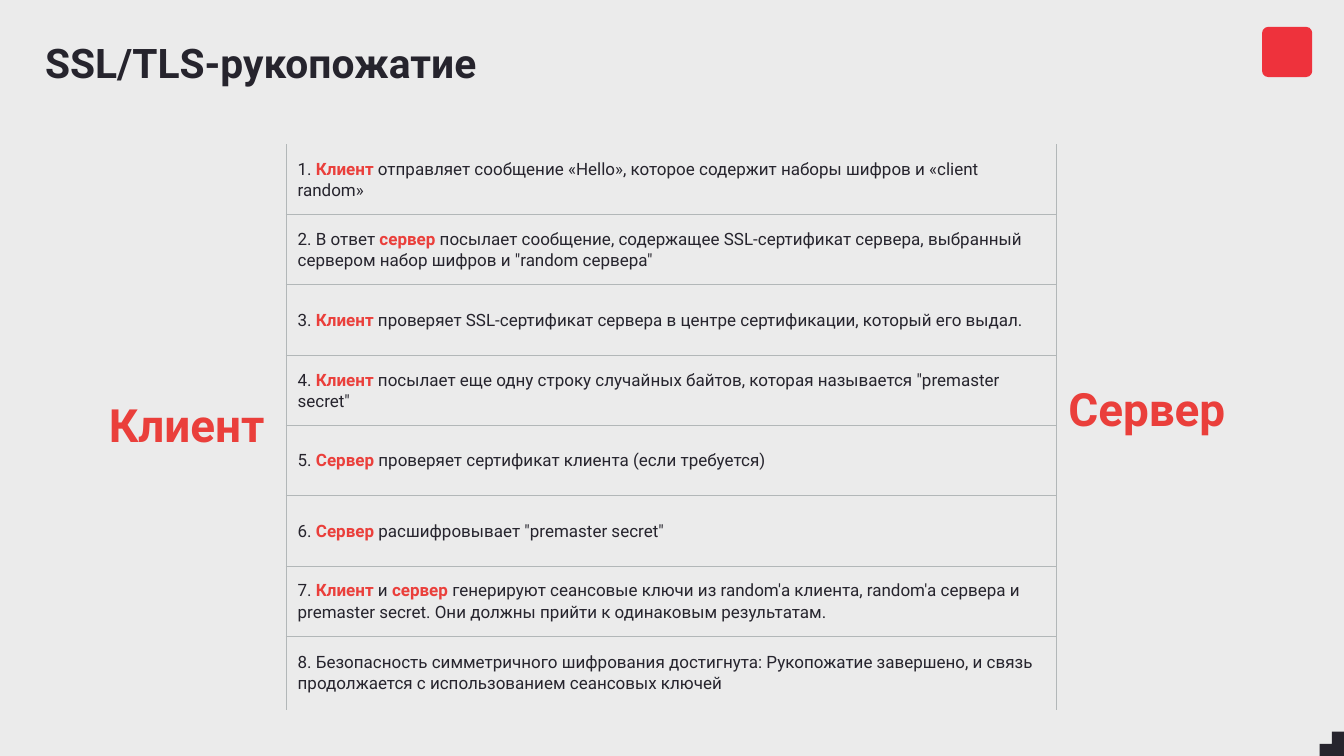
import dataclasses

import lxml.etree
import pptx
import pptx.dml.color
import pptx.enum.shapes
import pptx.enum.text
import pptx.oxml.ns
import pptx.util


@dataclasses.dataclass(frozen=True)
class Theme:
    font: str = "Roboto"
    backdrop: str = "EBEBEB"
    ink: str = "26242D"
    accent: str = "EA3F3B"
    badge: str = "EE323C"
    rule: str = "B2B7B8"
    edge: str = "FFFFFF"
    title_size: int = 48
    party_size: int = 54
    step_size: int = 20
    step_leading: int = 25
    rule_width: int = 1
    edge_width: int = 3


THEME = Theme()
WIDTH, HEIGHT = 21.99, 12.37
TABLE_LEFT, TABLE_TOP = 1.59, 2.36
COLUMNS = (3.09, 12.61, 3.27)
ROW_HEIGHT = 1.15
CELL_INSET = 0.15
TEXT_INDENT = 0.04
STAIR = 0.4

CLIENT, SERVER = "Клиент", "Сервер"
STEPS = (
    "1. *Клиент* отправляет сообщение «Hello», которое содержит наборы шифров и «client random»",
    "2. В ответ *сервер* посылает сообщение, содержащее SSL-сертификат сервера, "
    "выбранный сервером набор шифров и \"random сервера\"",
    "3. *Клиент* проверяет SSL-сертификат сервера в центре сертификации, который его выдал.",
    "4. *Клиент* посылает еще одну строку случайных байтов, которая называется \"premaster secret\"",
    "5. *Сервер* проверяет сертификат клиента (если требуется)",
    "6. *Сервер* расшифровывает \"premaster secret\"",
    "7. *Клиент* и *сервер* генерируют сеансовые ключи из random'а клиента, random'а сервера "
    "и premaster secret. Они должны прийти к одинаковым результатам.",
    "8. Безопасность симметричного шифрования достигнута: Рукопожатие завершено, "
    "и связь продолжается с использованием сеансовых ключей",
)


def inches(value):
    return pptx.util.Inches(value)


def rgb(color):
    return pptx.dml.color.RGBColor.from_string(color)


def paint(shape, color):
    shape.shadow.inherit = False
    shape.fill.solid()
    shape.fill.fore_color.rgb = rgb(color)
    shape.line.fill.background()


def style_run(run, size, color, bold):
    run.font.name = THEME.font
    run.font.size = pptx.util.Pt(size)
    run.font.bold = bold
    run.font.color.rgb = rgb(color)


def add_title(slide, text):
    title = slide.shapes.add_textbox(inches(0.64), inches(0.52), inches(18.97), inches(0.98))
    frame = title.text_frame
    frame.word_wrap = True
    frame.vertical_anchor = pptx.enum.text.MSO_ANCHOR.MIDDLE
    frame.text = text
    style_run(frame.paragraphs[0].runs[0], THEME.title_size, THEME.ink, True)


def add_badge(slide):
    badge = slide.shapes.add_shape(
        pptx.enum.shapes.MSO_SHAPE.ROUNDED_RECTANGLE,
        inches(20.65), inches(0.44), inches(0.82), inches(0.82))
    badge.adjustments[0] = 0.12
    paint(badge, THEME.badge)


def add_corner_stair(slide):
    left, top = WIDTH - STAIR, HEIGHT - STAIR
    middle_x, middle_y = WIDTH - STAIR / 2, HEIGHT - STAIR / 2
    outline = [(left, HEIGHT), (left, middle_y), (middle_x, middle_y),
               (middle_x, top), (WIDTH, top)]
    builder = slide.shapes.build_freeform(inches(WIDTH), inches(HEIGHT), scale=1.0)
    builder.add_line_segments([(inches(x), inches(y)) for x, y in outline], close=True)
    paint(builder.convert_to_shape(), THEME.ink)


def set_borders(cell, **borders):
    properties = cell._tc.get_or_add_tcPr()
    qn = pptx.oxml.ns.qn
    for side in "LRTB":
        color, width = borders.get(side, (None, 0))
        line = lxml.etree.SubElement(properties, qn(f"a:ln{side}"), w=str(pptx.util.Pt(width)))
        if color:
            fill = lxml.etree.SubElement(line, qn("a:solidFill"))
            lxml.etree.SubElement(fill, qn("a:srgbClr"), val=color)
        else:
            lxml.etree.SubElement(line, qn("a:noFill"))
    cell.fill.background()


def cell_paragraph(cell):
    cell.margin_left = cell.margin_right = inches(CELL_INSET)
    cell.margin_top = cell.margin_bottom = inches(CELL_INSET)
    cell.vertical_anchor = pptx.enum.text.MSO_ANCHOR.MIDDLE
    paragraph = cell.text_frame.paragraphs[0]
    paragraph._p.get_or_add_pPr().set("marL", str(inches(TEXT_INDENT)))
    return paragraph


def fill_party(cell, name):
    paragraph = cell_paragraph(cell)
    paragraph.text = name
    style_run(paragraph.runs[0], THEME.party_size, THEME.accent, True)
    return paragraph


def fill_step(cell, step):
    paragraph = cell_paragraph(cell)
    paragraph.line_spacing = pptx.util.Pt(THEME.step_leading)
    for index, part in enumerate(step.split("*")):
        highlighted = index % 2 == 1
        run = paragraph.add_run()
        run.text = part
        style_run(run, THEME.step_size, THEME.accent if highlighted else THEME.ink, highlighted)


def add_handshake(slide):
    last = len(STEPS) - 1
    handshake = slide.shapes.add_table(
        len(STEPS), len(COLUMNS), inches(TABLE_LEFT), inches(TABLE_TOP),
        inches(sum(COLUMNS)), inches(ROW_HEIGHT * len(STEPS))).table
    handshake.first_row = handshake.horz_banding = False
    for column, width in zip(handshake.columns, COLUMNS):
        column.width = inches(width)

    rule = (THEME.rule, THEME.rule_width)
    edge = (THEME.edge, THEME.edge_width)
    for index, step in enumerate(STEPS):
        handshake.rows[index].height = inches(ROW_HEIGHT)
        client, message, server = (handshake.cell(index, column) for column in range(3))
        bottom = {"B": edge} if index == last else {}
        set_borders(client, R=rule, **bottom)
        set_borders(server, L=rule, **bottom)
        between = {"T": rule} if index else {}
        if index < last:
            between["B"] = rule
        set_borders(message, L=rule, R=rule, **between)
        fill_step(message, step)

    for column in (0, 2):
        handshake.cell(0, column).merge(handshake.cell(last, column))
    fill_party(handshake.cell(0, 0), CLIENT)
    server_name = fill_party(handshake.cell(0, 2), SERVER)
    server_name.line_spacing = pptx.util.Pt(THEME.step_leading)


def main():
    deck = pptx.Presentation()
    deck.slide_width, deck.slide_height = inches(WIDTH), inches(HEIGHT)
    slide = deck.slides.add_slide(deck.slide_layouts[6])
    slide.background.fill.solid()
    slide.background.fill.fore_color.rgb = rgb(THEME.backdrop)
    add_badge(slide)
    add_corner_stair(slide)
    add_title(slide, "SSL/TLS-рукопожатие")
    add_handshake(slide)
    deck.save("out.pptx")


if __name__ == "__main__":
    main()
